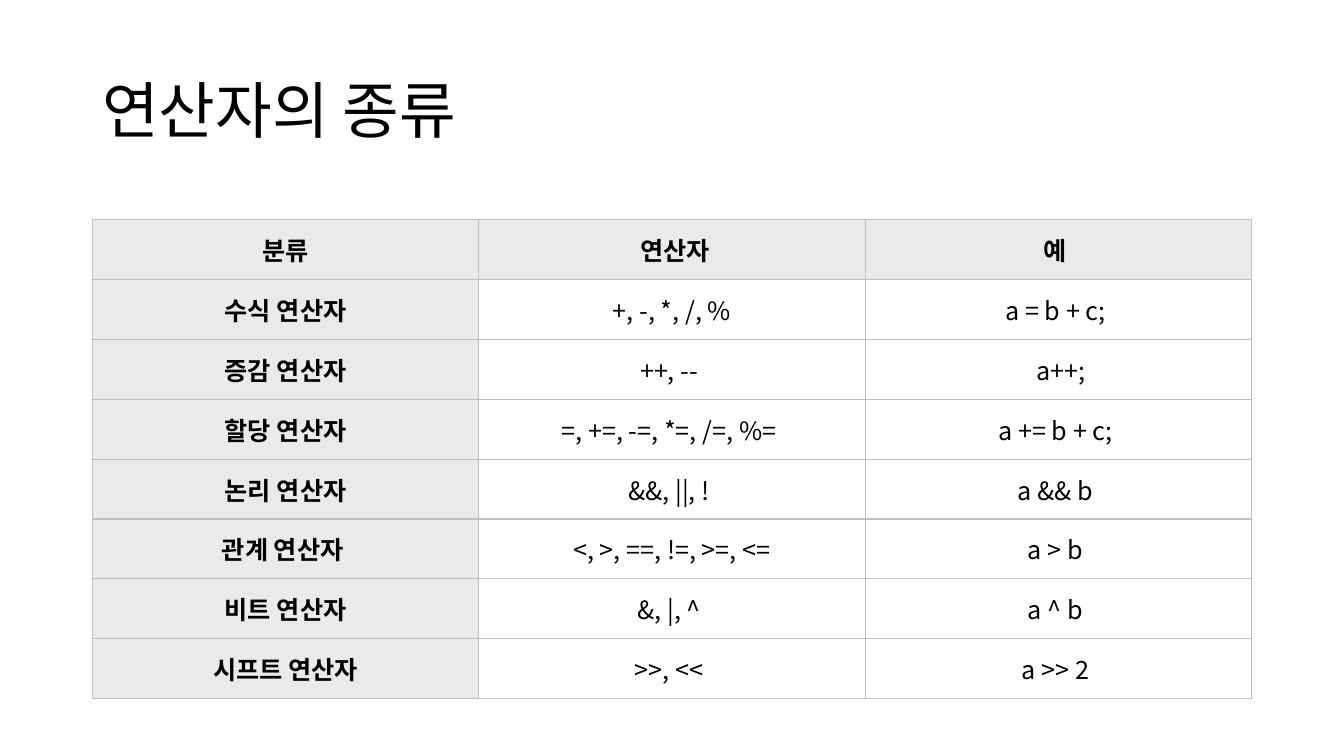
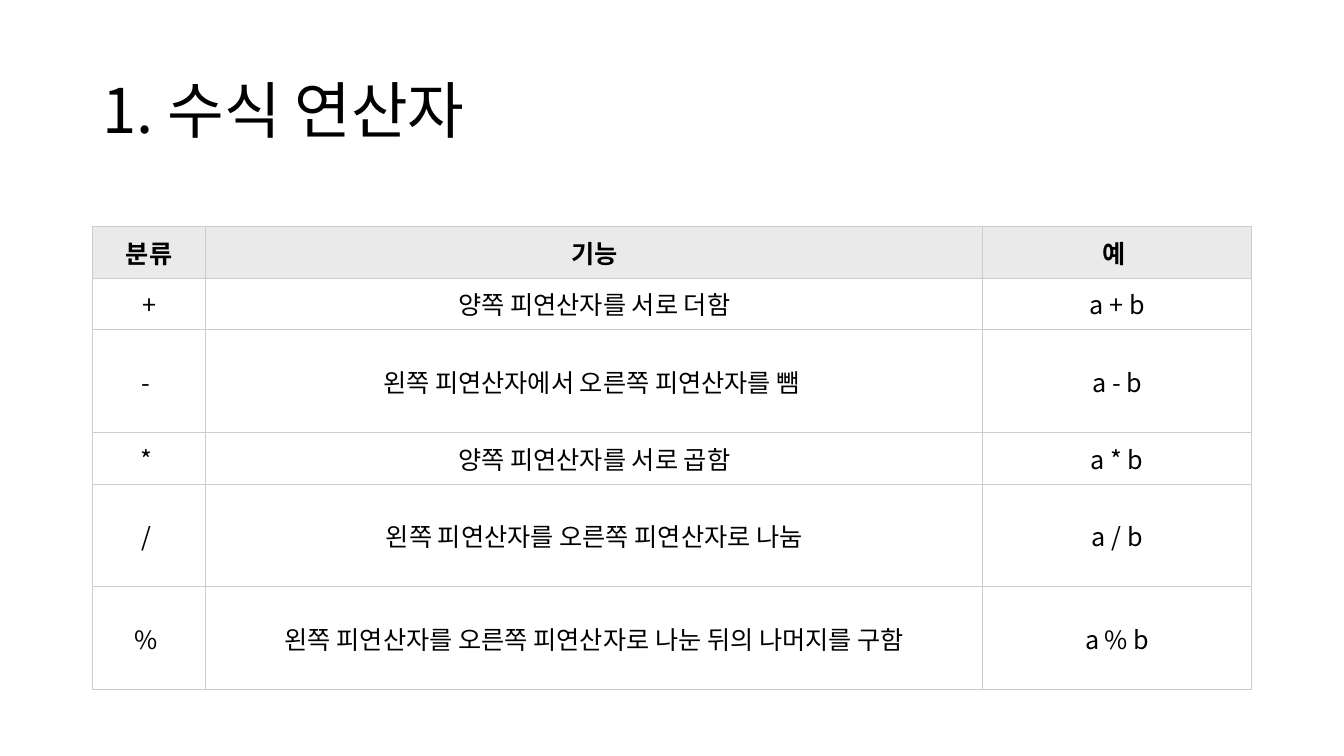
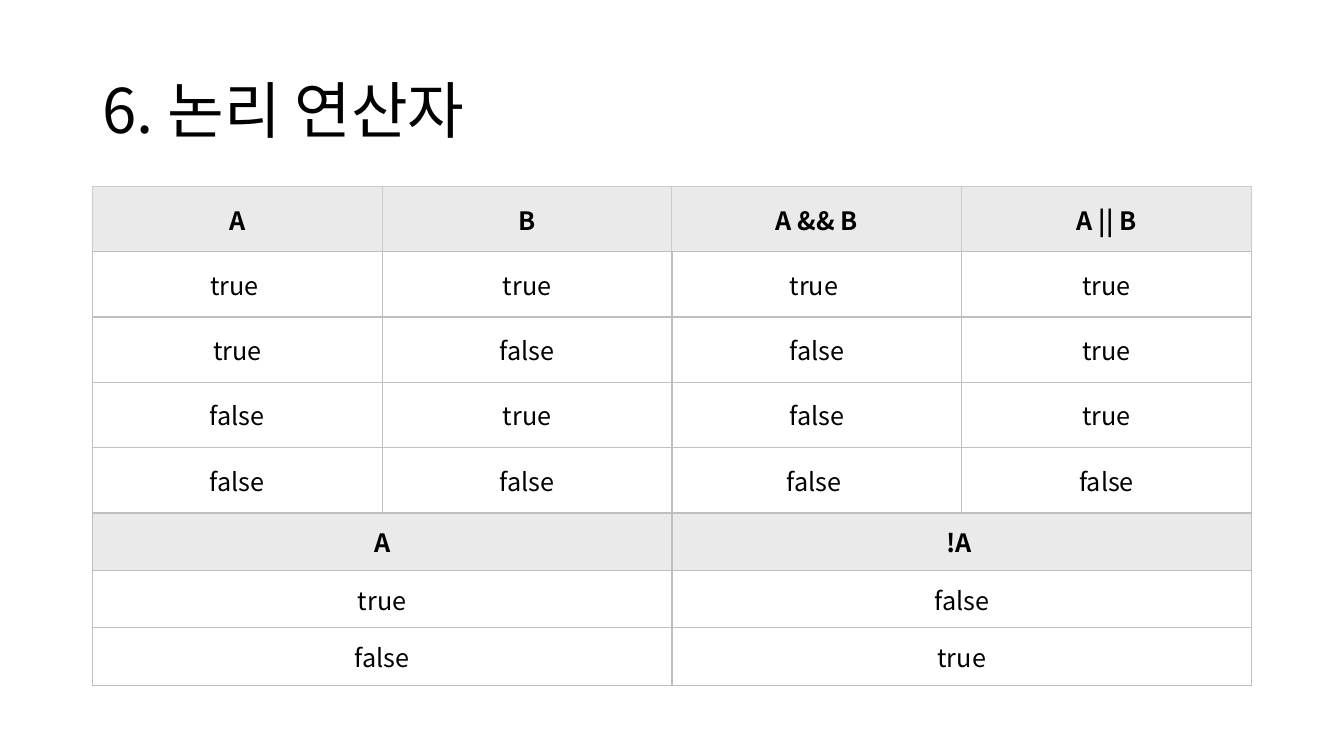
from lxml import etree
from pptx import Presentation
from pptx.dml.color import RGBColor
from pptx.enum.text import MSO_ANCHOR, PP_ALIGN
from pptx.oxml.ns import qn
from pptx.util import Pt

LEFT = PP_ALIGN.LEFT
CENTER = PP_ALIGN.CENTER
MIDDLE = MSO_ANCHOR.MIDDLE

FONT = "Noto Sans CJK KR"
COLORS = {
    "paper": "FFFFFF",
    "text": "000000",
    "heading": "EAEAEA",
    "grid": "BFBFBF",
    "light_grid": "CCCCCC",
}
GRID = ("grid", 1)
LIGHT_GRID = ("light_grid", 0.75)
SIDES = ("lnL", "lnR", "lnT", "lnB")
MARGIN = 66
CONTENT_WIDTH = 828


def write_text(frame, text, size=18, bold=False, align=LEFT, line_spacing=1.0):
    frame.word_wrap = True
    paragraph = frame.paragraphs[0]
    paragraph.alignment = align
    paragraph.line_spacing = line_spacing
    run = paragraph.add_run()
    run.text = text
    run.font.size = Pt(size)
    run.font.bold = bold
    run.font.name = FONT
    run.font.color.rgb = RGBColor.from_string(COLORS["text"])
    east_asian = etree.SubElement(run.font._element, qn("a:ea"))
    east_asian.set("typeface", FONT)


class Deck:
    def __init__(self):
        self.presentation = Presentation()
        self.presentation.slide_width = Pt(960)
        self.presentation.slide_height = Pt(540)
        self.slide = None

    def add_slide(self, title):
        layout = self.presentation.slide_layouts[6]
        self.slide = self.presentation.slides.add_slide(layout)
        fill = self.slide.background.fill
        fill.solid()
        fill.fore_color.rgb = RGBColor.from_string(COLORS["paper"])
        self.add_title(title)

    def add_title(self, text):
        shape = self.slide.shapes.add_textbox(
            Pt(MARGIN), Pt(28.75), Pt(CONTENT_WIDTH), Pt(104.4))
        shape.text_frame.vertical_anchor = MIDDLE
        write_text(shape.text_frame, text, size=44, line_spacing=0.9)

    def add_table(self, top, widths, heights, rows, heading_column=False,
                  border=GRID, heading_border=None):
        shape = self.slide.shapes.add_table(
            len(heights), len(widths), Pt(MARGIN), Pt(top),
            Pt(sum(widths)), Pt(sum(heights)))
        table = shape.table
        table.first_row = False
        table.horz_banding = False
        for column, width in zip(table.columns, widths):
            column.width = Pt(width)
        for row_index, (row, height) in enumerate(zip(rows, heights)):
            table.rows[row_index].height = Pt(height)
            for column_index, text in enumerate(row):
                in_first_row = row_index == 0
                heading = in_first_row or (heading_column and column_index == 0)
                borders = dict.fromkeys(SIDES, border)
                if in_first_row and heading_border:
                    borders.update(dict.fromkeys(SIDES[:3], heading_border))
                self.format_cell(table.cell(row_index, column_index),
                                 text, heading, borders)

    def format_cell(self, cell, text, heading, borders):
        cell.margin_left = cell.margin_right = Pt(0)
        cell.margin_top = cell.margin_bottom = Pt(0)
        cell.vertical_anchor = MIDDLE
        write_text(cell.text_frame, text, bold=heading, align=CENTER)
        properties = cell._tc.get_or_add_tcPr()
        for side, (color, width) in borders.items():
            line = etree.SubElement(properties, qn(f"a:{side}"), w=str(Pt(width)))
            line_fill = etree.SubElement(line, qn("a:solidFill"))
            etree.SubElement(line_fill, qn("a:srgbClr"), val=COLORS[color])
        if heading:
            cell.fill.solid()
            cell.fill.fore_color.rgb = RGBColor.from_string(COLORS["heading"])
        else:
            cell.fill.background()


OPERATOR_KINDS = [
    ("분류", "\u00a0연산자", "예\u00a0"),
    ("수식 연산자", "+, -, *, /, %", "a = b + c;\u00a0"),
    ("증감 연산자", "++, --\u00a0", "\u00a0a++;"),
    ("할당 연산자", "=, +=, -=, *=, /=, %=\u00a0", "a += b + c;\u00a0"),
    ("논리 연산자", "&&, ||, !\u00a0", "a && b\u00a0"),
    ("관계 연산자\u00a0", "<, >, ==, !=, >=, <=", "a > b\u00a0"),
    ("비트 연산자", "&, |, ^\u00a0", "a ^ b\u00a0"),
    ("시프트 연산자", ">>, <<\u00a0", "a >> 2\u00a0"),
]
ARITHMETIC = [
    ("분류", "기능", "예\u00a0"),
    ("+", "양쪽 피연산자를 서로 더함", "a + b"),
    ("-\u00a0", "왼쪽 피연산자에서 오른쪽 피연산자를 뺌\u00a0", "a - b"),
    ("*\u00a0", "양쪽 피연산자를 서로 곱함", "a * b"),
    ("/\u00a0", "왼쪽 피연산자를 오른쪽 피연산자로 나눔", "a / b"),
    ("%\u00a0", "왼쪽 피연산자를 오른쪽 피연산자로 나눈 뒤의 나머지를 구함", "a % b"),
]
AND_OR = [
    ("A", "B", "A && B", "A || B"),
    ("true\u00a0", "true", "true\u00a0", "true"),
    ("true", "false", "false", "true"),
    ("false", "true", "false", "true"),
    ("false", "false", "false\u00a0", "false"),
]
NOT = [("A", "!A\u00a0"), ("true", "false"), ("false", "true")]

deck = Deck()

deck.add_slide("연산자의 종류")
deck.add_table(157, [CONTENT_WIDTH / 3] * 3, [42.75] * 8, OPERATOR_KINDS,
               heading_column=True)

deck.add_slide("1. 수식 연산자")
single_line = 36.75
arithmetic_heights = [single_line * lines for lines in (1, 1, 2, 1, 2, 2)]
deck.add_table(162, [81, 555, 192], arithmetic_heights, ARITHMETIC,
               border=LIGHT_GRID)

deck.add_slide("6. 논리 연산자")
and_or_top = 133.2
and_or_heights = [46.65] * 5
deck.add_table(and_or_top, [CONTENT_WIDTH / 4] * 4, and_or_heights, AND_OR,
               heading_border=LIGHT_GRID)
deck.add_table(and_or_top + sum(and_or_heights), [CONTENT_WIDTH / 2] * 2,
               [41] * 3, NOT)

deck.presentation.save("out.pptx")
